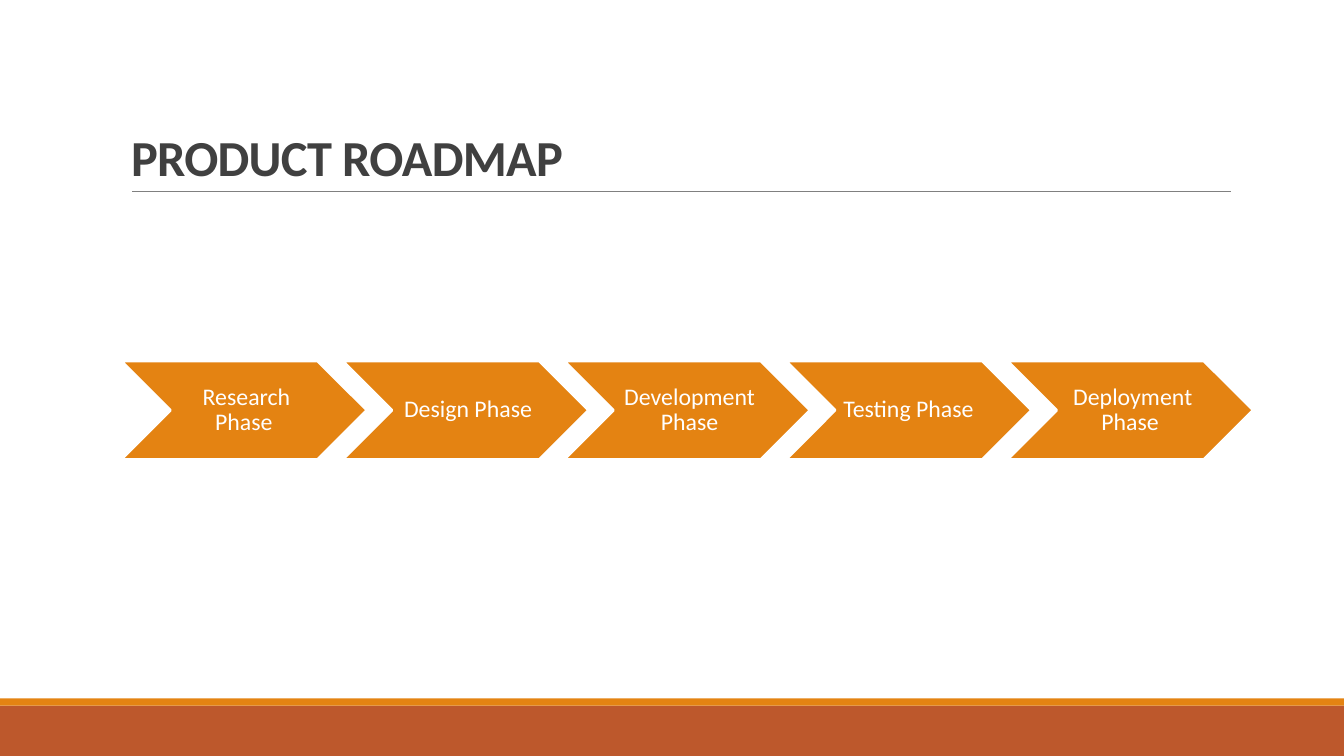
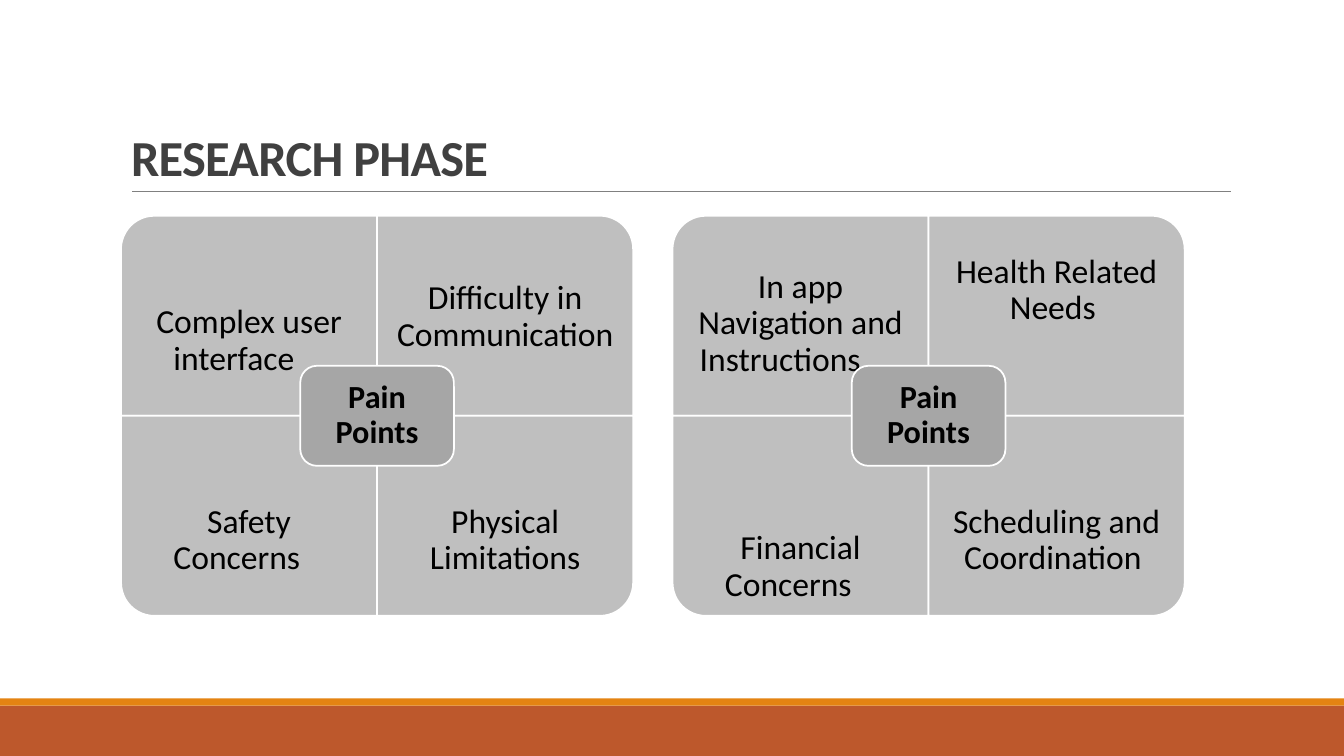
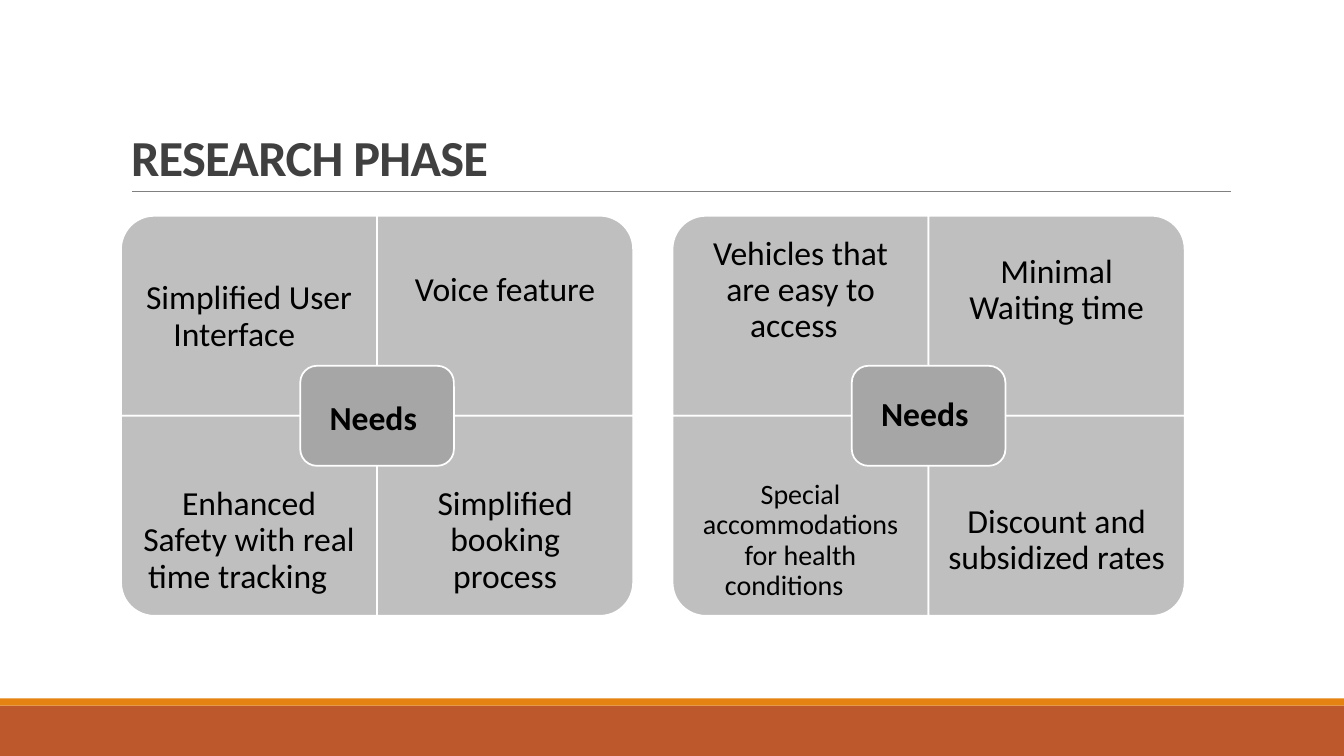
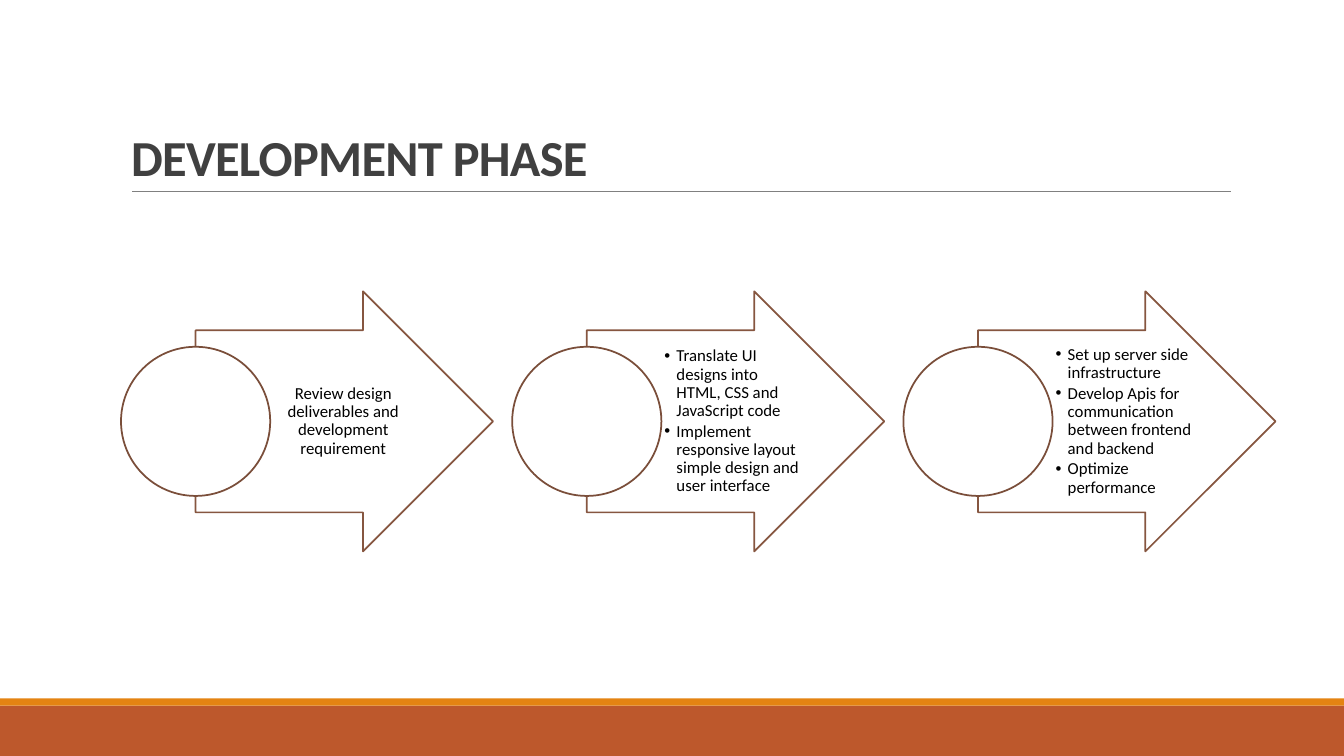
from dataclasses import dataclass

from pptx import Presentation
from pptx import util as u
from pptx.dml.color import RGBColor
from pptx.enum import shapes, text
from pptx.oxml import parse_xml
from pptx.oxml.ns import nsdecls, qn

Inches, Pt = u.Inches, u.Pt
SHAPE, ALIGN = shapes.MSO_SHAPE, text.PP_ALIGN


@dataclass(frozen=True)
class Theme:
    font: str = "Calibri"
    white: str = "FFFFFF"
    black: str = "000000"
    title: str = "404040"
    rule: str = "808080"
    rust: str = "BD582C"
    orange: str = "E48312"
    quadrant: str = "BFBFBF"
    hub: str = "A6A6A6"
    arrow_line: str = "865640"
    circle_line: str = "7A4E3A"
    title_size: int = 36
    phase_size: int = 17
    quadrant_size: int = 24
    dense_size: int = 20
    step_size: int = 12


THEME = Theme()


@dataclass(frozen=True)
class Box:
    left: float
    top: float
    width: float
    height: float

    def lengths(self):
        return [Inches(v) for v in (self.left, self.top, self.width, self.height)]


@dataclass(frozen=True)
class Cell:
    """Words of one quadrant; drop moves them down from their usual place."""
    words: str
    drop: float = 0
    size: int = THEME.quadrant_size
    inset: float = 0.19


# Content: quadrants run top left, top right, bottom left, bottom right
PHASES = ["Research Phase ", "Design Phase", "Development Phase",
          "Testing Phase ", "Deployment Phase "]

PAIN_POINTS = [
    (Cell("Pain Points", size=23), [
        Cell("Complex user interface \t", drop=0.5),
        Cell("Difficulty in Communication ", drop=0.26),
        Cell("Safety Concerns \t"),
        Cell("Physical Limitations")]),
    (Cell("Pain Points", size=23), [
        Cell("In app Navigation and Instructions \t", drop=0.33),
        Cell("Health Related Needs "),
        Cell("Financial Concerns \t", drop=0.26),
        Cell("Scheduling and Coordination ")]),
]

NEEDS = [
    (Cell("Needs ", drop=0.04), [
        Cell("Simplified User Interface\t", drop=0.26),
        Cell("Voice feature"),
        Cell("Enhanced Safety with real time tracking\t"),
        Cell("Simplified booking process")]),
    (Cell("Needs "), [
        Cell("Vehicles that are easy to access \t"),
        Cell("Minimal Waiting time"),
        Cell("Special accommodations for health conditions\t",
             size=THEME.dense_size, inset=0.16),
        Cell("Discount and subsidized rates")]),
]

STEPS = [
    ["Review design deliverables and development requirement"],
    ["Translate UI designs into HTML, CSS and JavaScript code",
     "Implement responsive layout simple design and user interface"],
    ["Set up server side infrastructure",
     "Develop Apis for communication between frontend and backend",
     "Optimize performance"],
]


def apply(target, values):
    for name, value in values.items():
        setattr(target, name, value)


def rgb(color):
    return RGBColor.from_string(color)


def add_bullet(paragraph):
    properties = paragraph._p.get_or_add_pPr()
    properties.set("marL", str(Inches(0.12)))
    properties.set("indent", str(-Inches(0.12)))
    for tag in ('a:buFont %s typeface="Arial"', 'a:buChar %s char="•"'):
        properties.append(parse_xml("<" + tag % nsdecls("a") + "/>"))


def write(shape, lines, size, color, insets, bold=False, bullets=False):
    """Fill a shape or text box with formatted paragraphs."""
    frame = shape.text_frame
    left, top, right, bottom = (Inches(v) for v in insets)
    apply(frame, dict(word_wrap=True, auto_size=text.MSO_AUTO_SIZE.NONE,
                      vertical_anchor=text.MSO_ANCHOR.MIDDLE,
                      margin_left=left, margin_top=top,
                      margin_right=right, margin_bottom=bottom))
    for number, line in enumerate(lines):
        paragraph = frame.paragraphs[0] if number == 0 else frame.add_paragraph()
        if bullets:
            add_bullet(paragraph)
        apply(paragraph, dict(
            line_spacing=0.9, space_after=Pt(2 if bullets else 0),
            alignment=ALIGN.LEFT if bullets else ALIGN.CENTER))
        run = paragraph.add_run()
        run.text = line
        apply(run.font, dict(name=THEME.font, size=Pt(size), bold=bold))
        run.font.color.rgb = rgb(color)


def add_shape(slide, preset, box, fill, line=None, weight=1.25, turn=0):
    shape = slide.shapes.add_shape(preset, *box.lengths())
    apply(shape, dict(rotation=turn))
    shape.shadow.inherit = False
    shape.fill.solid()
    shape.fill.fore_color.rgb = rgb(fill)
    if line:
        shape.line.color.rgb = rgb(line)
        shape.line.width = Pt(weight)
    else:
        shape.line.fill.background()
    return shape


def add_text(slide, box, lines, size, insets, **options):
    label = slide.shapes.add_textbox(*box.lengths())
    write(label, lines, size, THEME.black, insets, **options)


# Shared layout: title style, rule and bottom bands
def style_layout(layout):
    for placeholder in list(layout.placeholders):
        if placeholder.placeholder_format.idx != 0:
            placeholder.element.getparent().remove(placeholder.element)
    title = layout.placeholders[0]
    left, top, width, height = Box(1.2, 0.31, 11, 1.59).lengths()
    apply(title, dict(left=left, top=top, width=width, height=height))
    apply(title.text_frame, dict(vertical_anchor=text.MSO_ANCHOR.BOTTOM,
                                 auto_size=text.MSO_AUTO_SIZE.NONE))
    body = title.text_frame._txBody
    body.replace(body.find(qn("a:lstStyle")), parse_xml(
        f'<a:lstStyle {nsdecls("a")}><a:lvl1pPr algn="l">'
        '<a:lnSpc><a:spcPct val="85000"/></a:lnSpc>'
        f'<a:defRPr sz="{THEME.title_size * 100}" b="1" spc="-50">'
        f'<a:solidFill><a:srgbClr val="{THEME.title}"/></a:solidFill>'
        f'<a:latin typeface="{THEME.font}"/></a:defRPr>'
        '</a:lvl1pPr></a:lstStyle>'))


def add_frame(slide, layout):
    """Draw the bands and title rule, then hand them to the layout."""
    band = add_shape(slide, SHAPE.RECTANGLE, Box(0, 7, 13.33, 0.5), THEME.rust)
    stripe = add_shape(slide, SHAPE.RECTANGLE, Box(0, 6.93, 13.33, 0.07),
                       THEME.orange)
    rule = slide.shapes.add_connector(
        shapes.MSO_CONNECTOR.STRAIGHT,
        Inches(1.31), Inches(1.9), Inches(12.21), Inches(1.9))
    rule.line.color.rgb = rgb(THEME.rule)
    rule.line.width = Pt(0.5)
    rule.element.spPr.append(parse_xml(f'<a:effectLst {nsdecls("a")}/>'))
    for position, part in enumerate((band, stripe, rule), start=2):
        layout.shapes.element.insert(position, part.element)


def add_slide(deck, layout, title):
    slide = deck.slides.add_slide(layout)
    slide.shapes.title.text_frame.text = title
    return slide


# Row of chevrons, evenly spread over the box
def add_roadmap(slide, box, phases):
    width = 2.44
    pitch = (box.width - width) / (len(phases) - 1)
    for number, phase in enumerate(phases):
        chevron = add_shape(
            slide, SHAPE.CHEVRON,
            Box(box.left + number * pitch, box.top, width, box.height),
            THEME.orange, THEME.white, 2)
        write(chevron, [phase], THEME.phase_size, THEME.white,
              (0.07, 0.02, 0.02, 0.02))


# Four quadrants around a central hub
def add_matrix(slide, box, hub, cells):
    width, height = box.width / 2, box.height / 2
    text_height = height * 0.75
    for number, (cell, turn) in enumerate(zip(cells, (270, 0, 180, 90))):
        row, column = divmod(number, 2)
        left, top = box.left + column * width, box.top + row * height
        area = Box(left, top, width, height)
        if turn % 180:  # a quarter turn swaps the sides about the same centre
            shift = (width - height) / 2
            area = Box(left + shift, top - shift, height, width)
        add_shape(slide, SHAPE.ROUND_1_RECTANGLE, area, THEME.quadrant,
                  THEME.white, turn=turn)
        text_top = top + row * (height - text_height) + cell.drop
        add_text(slide, Box(left, text_top, width, text_height),
                 [cell.words], cell.size, [cell.inset] * 4)

    hub_width, hub_height = width * 0.6, height / 2
    center = add_shape(
        slide, SHAPE.ROUNDED_RECTANGLE,
        Box(box.left + width - hub_width / 2, box.top + height - hub_height / 2,
            hub_width, hub_height),
        THEME.hub, THEME.white)
    write(center, [hub.words], hub.size, THEME.black,
          (0.1, 0.1 + 2 * hub.drop, 0.1, 0.1), bold=True)


def add_matrices(slide, matrices):
    for left, (hub, cells) in zip((1.2, 6.67), matrices):
        add_matrix(slide, Box(left, 2.14, 5.08, 3.97), hub, cells)


# Arrow with a circle at its tail and the step's text inside
def add_step(slide, box, lines):
    diameter = 1.48
    radius = diameter / 2
    arrow = add_shape(
        slide, SHAPE.RIGHT_ARROW,
        Box(box.left + radius, box.top, box.width - radius, box.height),
        THEME.white, THEME.arrow_line)
    arrow.adjustments[0] = 0.7
    arrow.adjustments[1] = 0.5
    text_height = box.height * 0.7
    add_text(slide,
             Box(box.left + diameter, box.top + (box.height - text_height) / 2,
                 1.44, text_height),
             lines, THEME.step_size, (0.03, 0.01, 0.02, 0.01),
             bullets=len(lines) > 1)
    add_shape(slide, SHAPE.OVAL,
              Box(box.left, box.top + box.height / 2 - radius,
                  diameter, diameter),
              THEME.white, THEME.circle_line)


def add_steps(slide, box, steps):
    width = 3.69
    pitch = (box.width - width) / (len(steps) - 1)
    for number, lines in enumerate(steps):
        add_step(slide, Box(box.left + number * pitch, box.top,
                            width, box.height), lines)


def main():
    deck = Presentation()
    apply(deck, dict(slide_width=Inches(13.33), slide_height=Inches(7.5)))
    layout = deck.slide_layouts.get_by_name("Title Only")
    style_layout(layout)

    roadmap = add_slide(deck, layout, "PRODUCT ROADMAP")
    add_frame(roadmap, layout)
    add_roadmap(roadmap, Box(1.2, 3.58, 11.23, 0.98), PHASES)

    for matrices in (PAIN_POINTS, NEEDS):
        research = add_slide(deck, layout, "RESEARCH PHASE")
        add_matrices(research, matrices)

    development = add_slide(deck, layout, "DEVELOPMENT PHASE")
    add_steps(development, Box(1.2, 2.89, 11.45, 2.58), STEPS)

    deck.save("out.pptx")


if __name__ == "__main__":
    main()
